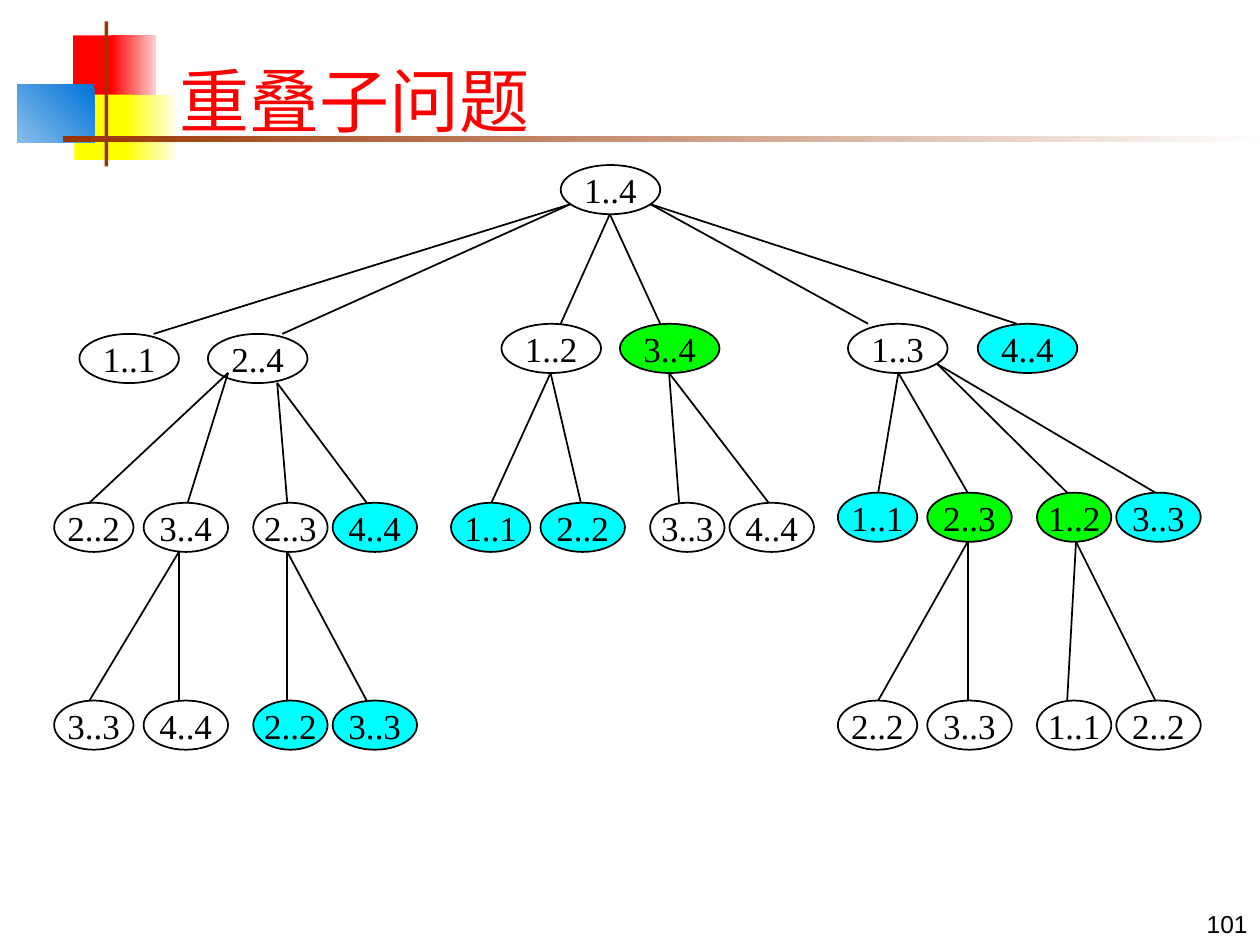
from dataclasses import dataclass

from lxml.etree import SubElement
from pptx import Presentation
from pptx.dml.color import RGBColor
from pptx.enum.shapes import MSO_CONNECTOR, MSO_SHAPE
from pptx.enum.text import MSO_ANCHOR, PP_ALIGN
from pptx.oxml.ns import qn
from pptx.util import Inches, Pt


@dataclass(frozen=True)
class Theme:
    black: str = "000000"
    white: str = "FFFFFF"
    red: str = "FF0000"
    pink: str = "FED0D0"
    yellow: str = "FFFF00"
    cream: str = "FEFEEF"
    blue: str = "0073D9"
    pale_blue: str = "8ABEEC"
    brown: str = "993300"
    off_white: str = "FEFEFE"
    green: str = "00FF00"
    cyan: str = "00FFFF"
    serif: str = "Times New Roman"
    sans: str = "Arial"
    title_size: int = 40
    node_size: int = 20
    number_size: int = 14


theme = Theme()


def add_filled_shape(kind, left, top, width, height, color):
    shape = slide.shapes.add_shape(
        kind, Inches(left), Inches(top), Inches(width), Inches(height))
    shape.shadow.inherit = False
    shape.fill.solid()
    shape.fill.fore_color.rgb = RGBColor.from_string(color)
    shape.line.fill.background()
    return shape


def write_text(shape, text, font_name, size, color, anchor, alignment):
    frame = shape.text_frame
    frame.text = text
    frame.vertical_anchor = anchor
    para = frame.paragraphs[0]
    para.alignment = alignment
    font = para.runs[0].font
    font.name = font_name
    font.size = Pt(size)
    font.color.rgb = RGBColor.from_string(color)


deck = Presentation()
deck.slide_width = Inches(10)
deck.slide_height = Inches(7.5)
slide = deck.slides.add_slide(deck.slide_layouts[6])

# Corner decoration: left, top, width, height, colour, end colour, angle
decoration = [
    (0.58, 0.28, 0.35, 0.52, theme.red, None, 0),
    (0.88, 0.28, 0.36, 0.52, theme.pink, theme.red, 180),
    (0.59, 0.75, 0.46, 0.52, theme.yellow, None, 0),
    (1.00, 0.75, 0.40, 0.52, theme.cream, theme.yellow, 180),
    (0.14, 0.67, 0.61, 0.46, theme.blue, theme.pale_blue, 225),
    (0.83, 0.17, 0.03, 1.15, theme.brown, None, 0),
    (0.50, 1.08, 9.50, 0.05, theme.off_white, theme.brown, 180),
]
for left, top, width, height, color, end_color, angle in decoration:
    block = add_filled_shape(MSO_SHAPE.RECTANGLE, left, top, width, height, color)
    if end_color:
        block.fill.gradient()
        block.fill.gradient_angle = angle
        for stop, stop_color in zip(block.fill.gradient_stops, (color, end_color)):
            stop.color.rgb = RGBColor.from_string(stop_color)

title = slide.shapes.add_textbox(Inches(1.33), Inches(0.25), Inches(8.52), Inches(0.92))
title.text_frame.word_wrap = True
write_text(title, "重叠子问题", theme.serif, theme.title_size, theme.red,
           MSO_ANCHOR.BOTTOM, PP_ALIGN.LEFT)

# Upper tree nodes: left, top, width, label, fill
NODE_HEIGHT = 0.39
UPPER_WIDTH = 0.79
nodes = [
    (4.45, 1.31, UPPER_WIDTH, "1..4", theme.white),
    (0.63, 2.65, UPPER_WIDTH, "1..1", theme.white),
    (1.65, 2.65, UPPER_WIDTH, "2..4", theme.white),
    (3.98, 2.57, UPPER_WIDTH, "1..2", theme.white),
    (4.92, 2.57, UPPER_WIDTH, "3..4", theme.green),
    (6.73, 2.57, UPPER_WIDTH, "1..3", theme.white),
    (7.76, 2.57, UPPER_WIDTH, "4..4", theme.cyan),
]

# Lower nodes stand in groups of four with the same offsets and widths
group_slots = [(0, 0.63), (0.71, 0.67), (1.58, 0.59), (2.21, 0.67)]
white, green, cyan = theme.white, theme.green, theme.cyan
groups = [
    (0.43, 3.99, "2..2 3..4 2..3 4..4", (white, white, white, cyan)),
    (3.58, 3.99, "1..1 2..2 3..3 4..4", (cyan, cyan, white, white)),
    (6.65, 3.91, "1..1 2..3 1..2 3..3", (cyan, green, green, cyan)),
    (0.43, 5.56, "3..3 4..4 2..2 3..3", (white, white, cyan, cyan)),
    (6.65, 5.56, "2..2 3..3 1..1 2..2", (white, white, white, white)),
]
for group_left, top, labels, fills in groups:
    for (offset, width), label, fill in zip(group_slots, labels.split(), fills):
        nodes.append((group_left + offset, top, width, label, fill))

for left, top, width, label, fill in nodes:
    node = add_filled_shape(MSO_SHAPE.OVAL, left, top, width, NODE_HEIGHT, fill)
    node.line.color.rgb = RGBColor.from_string(theme.black)
    node.line.width = Pt(1)
    node.text_frame.word_wrap = False
    write_text(node, label, theme.serif, theme.node_size, theme.black,
               MSO_ANCHOR.MIDDLE, PP_ALIGN.CENTER)

# Branches: parent x, parent y, child y, child x positions
branches = [
    (4.53, 1.62, 2.65, (1.22, 2.24)),
    (4.84, 1.70, 2.57, (4.45, 5.24)),
    (5.16, 1.62, 2.57, (6.89, 8.07)),
    (1.81, 2.96, 3.99, (0.71, 1.49)),
    (2.20, 3.04, 3.99, (2.28, 2.91)),
    (4.37, 2.96, 3.99, (3.90, 4.61)),
    (5.31, 2.96, 3.99, (5.39, 6.10)),
    (7.13, 2.96, 3.91, (6.97, 7.68)),
    (7.44, 2.89, 3.91, (8.47, 9.17)),
    (1.42, 4.38, 5.56, (0.71, 1.42)),
    (2.28, 4.38, 5.56, (2.28, 2.91)),
    (7.68, 4.30, 5.56, (6.97, 7.68)),
    (8.54, 4.30, 5.56, (8.47, 9.17)),
]
for parent_x, parent_y, child_y, child_positions in branches:
    for child_x in child_positions:
        branch = slide.shapes.add_connector(
            MSO_CONNECTOR.STRAIGHT, Inches(parent_x), Inches(parent_y),
            Inches(child_x), Inches(child_y))
        branch.line.color.rgb = RGBColor.from_string(theme.black)
        branch.line.width = Pt(1)
        SubElement(branch._element.spPr, qn("a:effectLst"))

page_number = slide.shapes.add_textbox(Inches(7.92), Inches(7), Inches(2.08), Inches(0.5))
page_number.text_frame.word_wrap = True
write_text(page_number, "101", theme.sans, theme.number_size, theme.black,
           MSO_ANCHOR.BOTTOM, PP_ALIGN.RIGHT)

deck.save("out.pptx")
